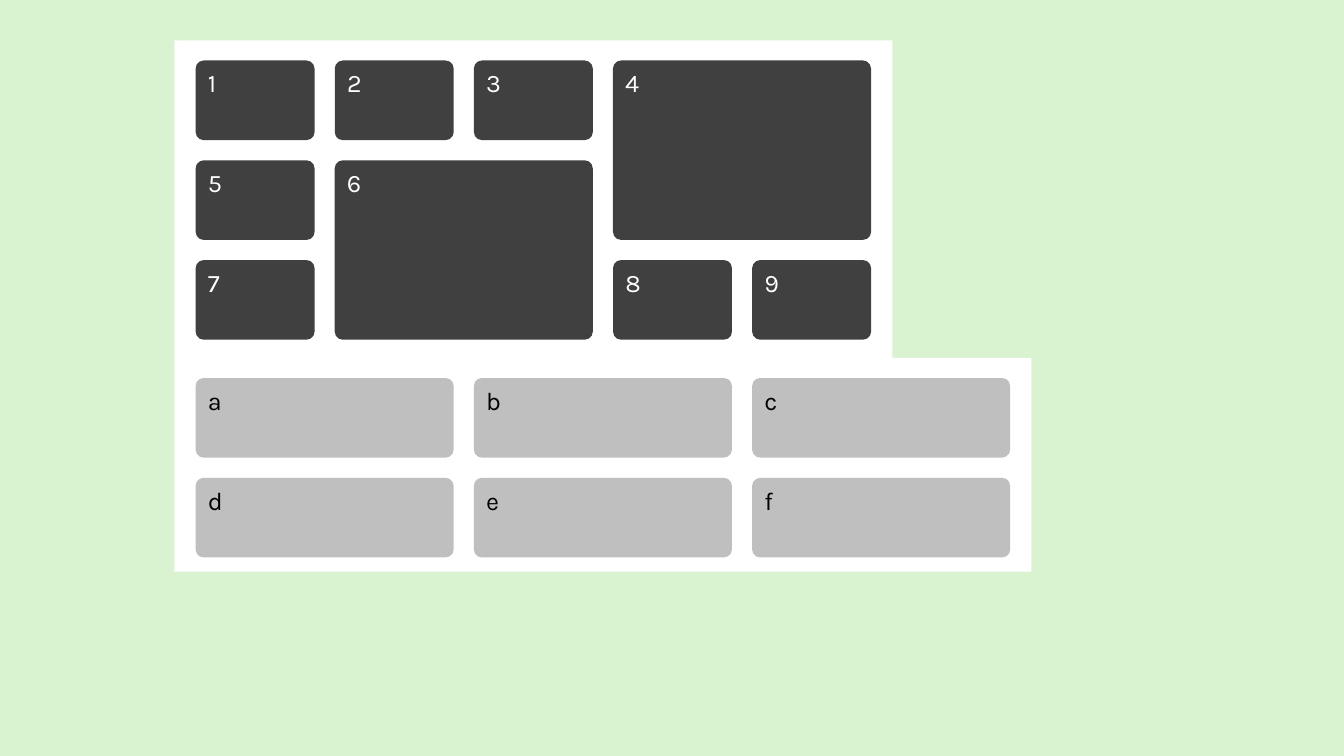
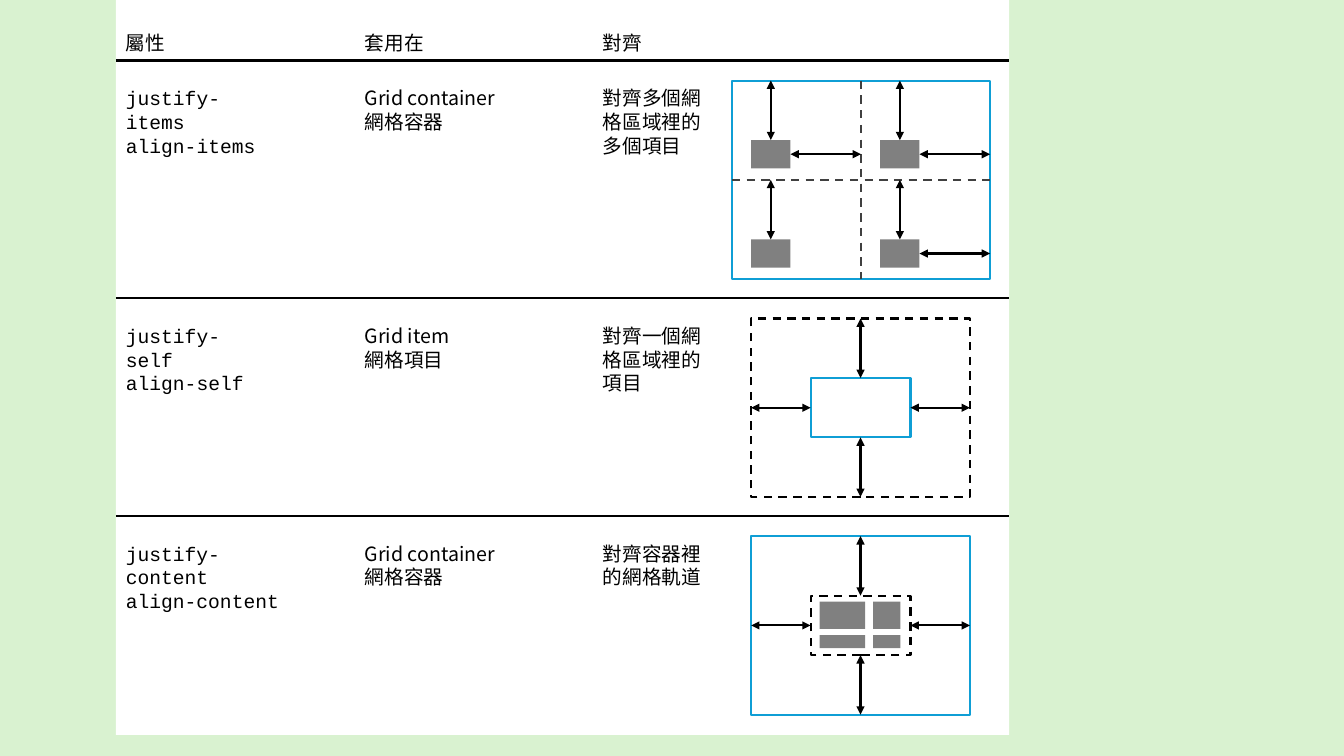
from lxml import etree
from pptx import Presentation
from pptx.dml.color import RGBColor
from pptx.enum.dml import MSO_LINE
from pptx.enum.shapes import MSO_CONNECTOR, MSO_SHAPE
from pptx.enum.text import MSO_ANCHOR, PP_ALIGN
from pptx.oxml.ns import qn
from pptx.util import Inches, Pt

RECTANGLE = MSO_SHAPE.RECTANGLE
ROUNDED = MSO_SHAPE.ROUNDED_RECTANGLE
STRAIGHT = MSO_CONNECTOR.STRAIGHT
DASH = MSO_LINE.DASH
TOP = MSO_ANCHOR.TOP
LEFT = PP_ALIGN.LEFT

GREEN, WHITE, BLACK = "D9F2D0", "FFFFFF", "000000"
DARK, GREY, LIGHT, BLUE = "404040", "808080", "BFBFBF", "0F9ED5"
LETTER_FONT, CODE_FONT, CJK_FONT = "Karla", "Courier New", "Noto Sans CJK TC"
STROKE = Pt(1.5)


def add_box(shapes, left, top, width, height, fill, stroke=None, dash=None, kind=RECTANGLE):
    box = shapes.add_shape(kind, Inches(left), Inches(top), Inches(width), Inches(height))
    box.shadow.inherit = False
    box.fill.solid()
    box.fill.fore_color.rgb = RGBColor.from_string(fill)
    if stroke:
        box.line.color.rgb = RGBColor.from_string(stroke)
        box.line.width = STROKE
        box.line.dash_style = dash
    else:
        box.line.fill.background()
    return box


def add_line(shapes, begin, end, color=BLACK, dash=None, arrows=False):
    line = shapes.add_connector(STRAIGHT, *[Inches(value) for value in (*begin, *end)])
    line.line.color.rgb = RGBColor.from_string(color)
    line.line.width = STROKE
    line.line.dash_style = dash
    properties = line._element.spPr
    if arrows:
        for tag in ("a:headEnd", "a:tailEnd"):
            etree.SubElement(properties.find(qn("a:ln")), qn(tag), type="triangle")
    etree.SubElement(properties, qn("a:effectLst"))
    return line


deck = Presentation()
deck.slide_width, deck.slide_height = Inches(13.33), Inches(7.5)
background = deck.slide_master.background.fill
background.solid()
background.fore_color.rgb = RGBColor.from_string(GREEN)
blank = deck.slide_layouts[6]

# Slide 1: numbered and lettered grid cells
page = deck.slides.add_slide(blank)
CELL_WIDTH, CELL_HEIGHT, GAP = 1.18, 0.79, 0.2
GRID_LEFT, CORNER = 1.94, 0.08

add_box(page.shapes, 1.73, 3.55, 8.5, 2.12, WHITE)
number_group = page.shapes.add_group_shape()
add_box(number_group.shapes, 1.73, 0.4, 7.12, 3.15, WHITE)

# label, column, row, columns spanned, rows spanned
number_cells = [
    ("1", 0, 0, 1, 1), ("2", 1, 0, 1, 1), ("3", 2, 0, 1, 1),
    ("4", 3, 0, 2, 2), ("5", 0, 1, 1, 1), ("6", 1, 1, 2, 2),
    ("7", 0, 2, 1, 1), ("8", 3, 2, 1, 1), ("9", 4, 2, 1, 1),
]
letter_cells = [(letter, index % 3 * 2, index // 3, 2, 1) for index, letter in enumerate("abcdef")]

for shapes, cells, grid_top, fill, color in [
    (number_group.shapes, number_cells, 0.6, DARK, WHITE),
    (page.shapes, letter_cells, 3.75, LIGHT, BLACK),
]:
    for label, column, row, columns, rows in cells:
        width = columns * (CELL_WIDTH + GAP) - GAP
        height = rows * (CELL_HEIGHT + GAP) - GAP
        cell = add_box(
            shapes,
            GRID_LEFT + column * (CELL_WIDTH + GAP),
            grid_top + row * (CELL_HEIGHT + GAP),
            width, height, fill, kind=ROUNDED,
        )
        cell.adjustments[0] = CORNER / min(width, height)
        cell.text_frame.text = label
        cell.text_frame.vertical_anchor = TOP
        para = cell.text_frame.paragraphs[0]
        para.alignment = LEFT
        para.font.size = Pt(18)
        para.font.name = LETTER_FONT
        para.font.color.rgb = RGBColor.from_string(color)

# Slide 2: alignment properties
page = deck.slides.add_slide(blank)
shapes = page.shapes
TABLE_LEFT, TABLE_RIGHT = 1.15, 10.01
RULES = [0.6, 2.96, 5.12]
ROW_TOPS = [rule + GAP for rule in RULES]

add_box(shapes, TABLE_LEFT, 0, TABLE_RIGHT - TABLE_LEFT, 7.29, WHITE)
for rule in RULES:
    add_line(shapes, (TABLE_LEFT, rule), (TABLE_RIGHT, rule))

# top, width of the first column, font of the first column, cell texts
text_rows = [
    (0.26, 1.6, CJK_FONT, ["屬性", "套用在", "對齊"]),
    (ROW_TOPS[0], 1.61, CODE_FONT,
     ["justify-items\nalign-items", "Grid container\n網格容器", "對齊多個網格區域裡的多個項目"]),
    (ROW_TOPS[1], 1.51, CODE_FONT,
     ["justify-self\nalign-self", "Grid item\n網格項目", "對齊一個網格區域裡的項目"]),
    (ROW_TOPS[2], 1.83, CODE_FONT,
     ["justify-content\nalign-content", "Grid container\n網格容器", "對齊容器裡的網格軌道"]),
]
for top, first_width, first_font, texts in text_rows:
    columns = [(1.15, first_width, first_font), (3.52, 1.8, CJK_FONT), (5.88, 1.18, CJK_FONT)]
    for (left, width, font_name), text in zip(columns, texts):
        height = 0.34 if top < RULES[0] else 0.81
        box = shapes.add_textbox(Inches(left), Inches(top), Inches(width), Inches(height))
        box.text_frame.word_wrap = True
        box.text_frame.text = text
        for para in box.text_frame.paragraphs:
            para.line_spacing = Pt(17)
            for span in para.runs:
                span.font.size = Pt(14)
                span.font.color.rgb = RGBColor.from_string(BLACK)
                span.font.name = font_name
                etree.SubElement(span.font._element, qn("a:ea"), typeface=font_name)

# Items aligned inside the four areas of a container
left, top, width, height = 7.26, ROW_TOPS[0], 2.56, 1.97
middle_x, middle_y = left + width / 2, top + height / 2
add_box(shapes, left, top, width, height, WHITE, BLUE)
add_line(shapes, (left, middle_y), (left + width, middle_y), DARK, DASH)
add_line(shapes, (middle_x, top), (middle_x, top + height), DARK, DASH)
ITEM_WIDTH, ITEM_HEIGHT = 0.39, 0.28
for row, area_top in enumerate((top, middle_y)):
    for column, area_left in enumerate((left, middle_x)):
        item_left, item_top = area_left + 0.19, area_top + 0.59
        item = add_box(shapes, item_left, item_top, ITEM_WIDTH, ITEM_HEIGHT, GREY)
        center_x, center_y = item_left + ITEM_WIDTH / 2, item_top + ITEM_HEIGHT / 2
        arrow = add_line(shapes, (center_x, item_top), (center_x, area_top), arrows=True)
        arrow.begin_connect(item, 0)
        if (row, column) != (1, 0):
            arrow = add_line(shapes, (item_left + ITEM_WIDTH, center_y),
                             (area_left + width / 2, center_y), arrows=True)
            arrow.begin_connect(item, 3)

# A smaller box centred inside a larger one
INNER_LEFT, INNER_OFFSET = 8.04, 0.59
for top, outer_style, inner_style in [
    (ROW_TOPS[1], (BLACK, DASH), (BLUE, None)),
    (ROW_TOPS[2], (BLUE, None), (BLACK, DASH)),
]:
    outer = add_box(shapes, 7.45, top, 2.17, 1.77, WHITE, *outer_style)
    inner = add_box(shapes, INNER_LEFT, top + INNER_OFFSET, 0.99, 0.59, WHITE, *inner_style)
    for side in range(4):
        arrow = add_line(shapes, (INNER_LEFT, top), (INNER_LEFT, top), arrows=True)
        arrow.begin_connect(inner, side)
        arrow.end_connect(outer, side)

# Grid tracks inside the last inner box
inner_top = ROW_TOPS[2] + INNER_OFFSET
for track_top, track_height in [(0.06, 0.27), (0.39, 0.13)]:
    for track_left, track_width in [(0.09, 0.45), (0.62, 0.27)]:
        add_box(shapes, INNER_LEFT + track_left, inner_top + track_top,
                track_width, track_height, GREY)

deck.save("out.pptx")
